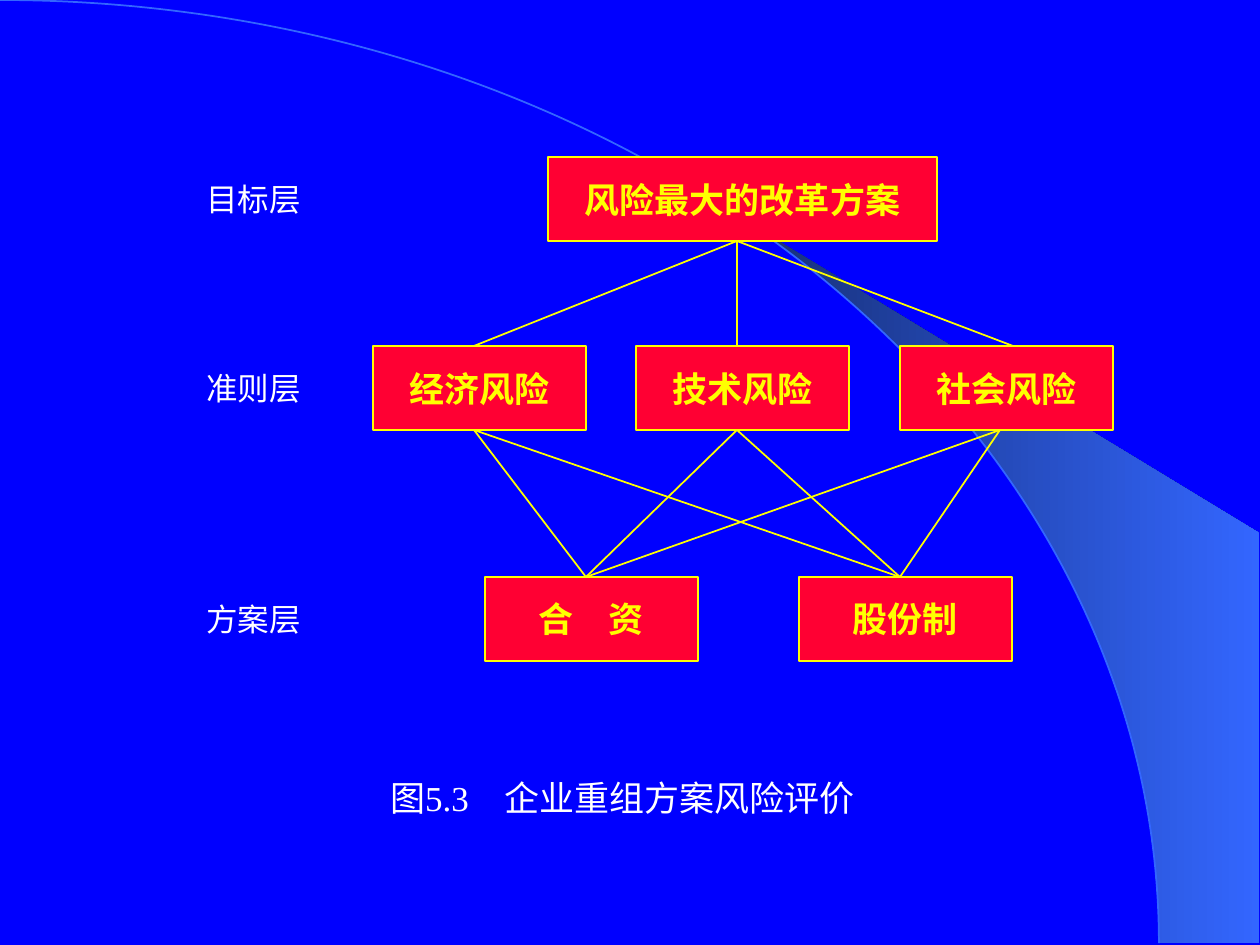
from math import cos, radians, sin

from lxml import etree
from pptx import Presentation
from pptx import util as u
from pptx.dml.color import RGBColor
from pptx.enum import shapes, text
from pptx.oxml.ns import qn

PX = 914400 // 126
THEME = {
    "back": "0000FF", "arc": "3366FF", "dark": "172F75",
    "box": "FF0033", "line": "FFFF00", "white": "FFFFFF",
    "font": "Times New Roman", "label": 18, "body": 20,
}

# Each level: label, top, boxes as (text, left, width)
LEVELS = [
    ("目标层", 157, [("风险最大的改革方案", 548, 389)]),
    ("准则层", 346, [("经济风险", 373, 213), ("技术风险", 636, 213),
                  ("社会风险", 900, 213)]),
    ("方案层", 577, [("合　资", 485, 213), ("股份制", 799, 213)]),
]
CAPTION = ("图5.3　企业重组方案风险评价", 315, 735, 615, 126)
LABEL_X, LABEL_W, ROW_H = 147, 213, 84

# Each fan: upper level, x of line starts, x of line ends
FANS = [
    (0, [737], [474, 737, 1013]),
    (1, [474, 737, 1000], [586, 900]),
]
RX, RY = 1159, 943  # radii of the background arc, centred at (0, RY)
EDGE = 1259


def emu(*vals):
    return [round(v * PX) for v in vals]


def color(key):
    return RGBColor.from_string(THEME[key])


def stroke(shape, key):
    shape.line.color.rgb = color(key)
    shape.line.width = u.Pt(1)


def write(shape, words, size, key, bold=False):
    frame = shape.text_frame
    frame.word_wrap = False
    frame.vertical_anchor = text.MSO_ANCHOR.MIDDLE
    para = frame.paragraphs[0]
    para.alignment = text.PP_ALIGN.CENTER
    run = para.add_run()
    run.text = words
    form = {"name": THEME["font"], "size": u.Pt(THEME[size]), "bold": bold}
    for name, val in form.items():
        setattr(run.font, name, val)
    run.font.color.rgb = color(key)


def add_back(slide):
    """Draw the shaded beam and the arc it leans on."""
    fill = slide.background.fill
    fill.solid()
    fill.fore_color.rgb = color("back")

    turns = [radians(40 + 2.5 * i) for i in range(21)]
    curve = [(RX * sin(t), RY * (1 - cos(t))) for t in turns]
    pen = slide.shapes.build_freeform(*emu(*curve[0]), scale=1.0)
    rest = curve[1:] + [(EDGE, RY), (EDGE, 533)]
    pen.add_line_segments([emu(*p) for p in rest], close=True)
    beam = pen.convert_to_shape()
    beam.shadow.inherit = False
    beam.line.fill.background()
    beam.fill.gradient()
    beam.fill.gradient_angle = 0
    for stop, key in zip(beam.fill.gradient_stops, ("dark", "arc")):
        stop.color.rgb = color(key)

    arc = slide.shapes.add_shape(
        shapes.MSO_SHAPE.ARC, *emu(-RX, 0, 2 * RX, 2 * RY))
    arc.shadow.inherit = False
    arc.fill.background()
    stroke(arc, "arc")


def add_box(slide, words, *place):
    box = slide.shapes.add_shape(shapes.MSO_SHAPE.RECTANGLE, *emu(*place))
    box.shadow.inherit = False
    box.fill.solid()
    box.fill.fore_color.rgb = color("box")
    stroke(box, "line")
    write(box, words, "body", "line", True)


def add_label(slide, words, size, *place):
    write(slide.shapes.add_textbox(*emu(*place)), words, size, "white")


def add_line(slide, *ends):
    line = slide.shapes.add_connector(
        shapes.MSO_CONNECTOR.STRAIGHT, *emu(*ends))
    stroke(line, "line")
    etree.SubElement(line._element.spPr, qn("a:effectLst"))


def main():
    deck = Presentation()
    deck.slide_width, deck.slide_height = u.Inches(10), u.Inches(7.5)
    slide = deck.slides.add_slide(deck.slide_layouts[6])
    add_back(slide)
    for label, top, boxes in LEVELS:
        for words, left, width in boxes:
            add_box(slide, words, left, top, width, ROW_H)
        add_label(slide, label, "label", LABEL_X, top, LABEL_W, ROW_H)
    for level, starts, ends in FANS:
        high, low = LEVELS[level][1] + ROW_H, LEVELS[level + 1][1]
        for start in starts:
            for end in ends:
                add_line(slide, start, high, end, low)
    words, *place = CAPTION
    add_label(slide, words, "body", *place)
    deck.save("out.pptx")


if __name__ == "__main__":
    main()
